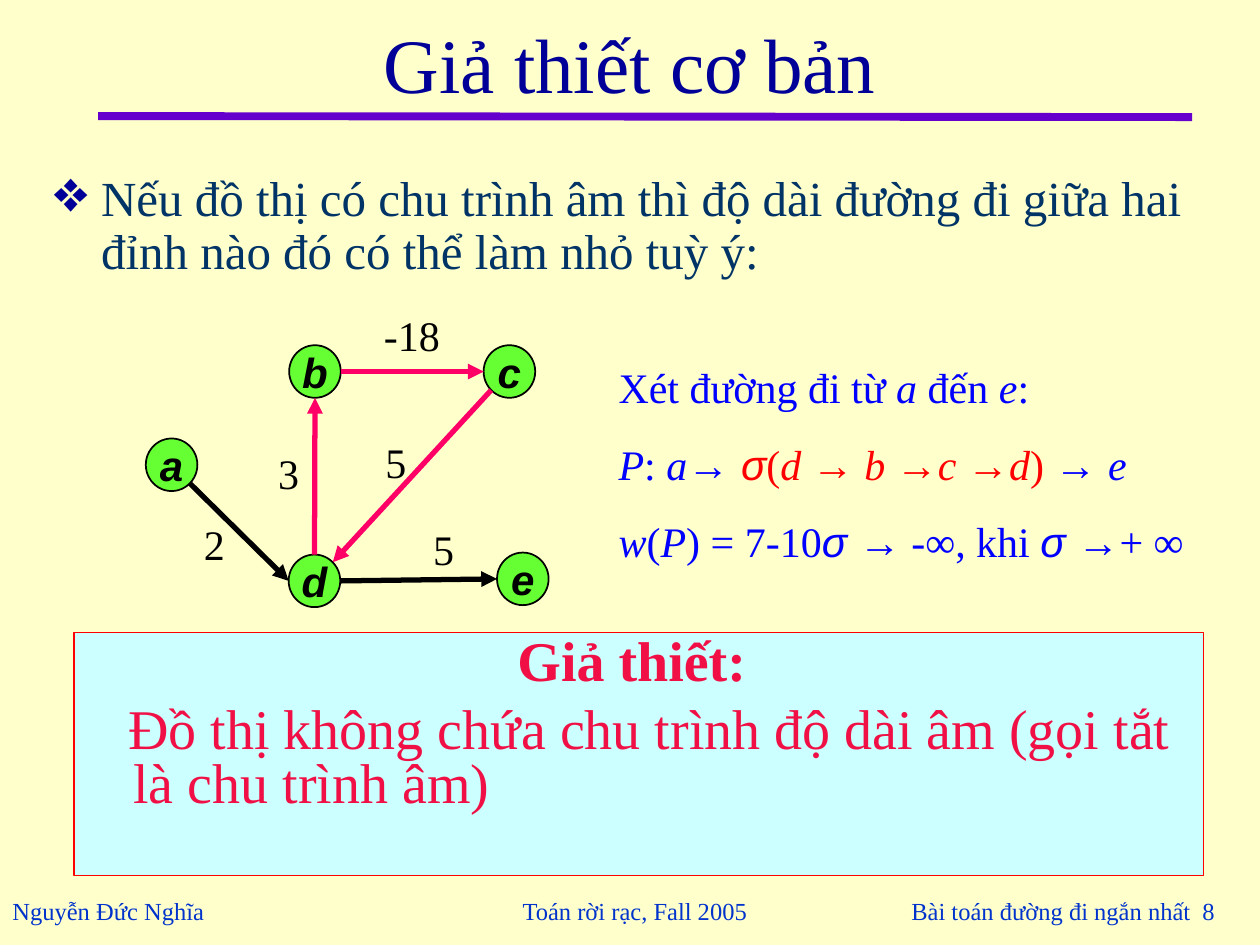
"""Builds a slide on shortest paths and the no-negative-cycle assumption."""
from lxml import etree
from pptx import Presentation
from pptx import util as u
from pptx.dml.color import RGBColor
from pptx.enum import shapes, text
from pptx.oxml import ns

CREAM = RGBColor(0xFF, 0xFF, 0xCC)
CYAN = RGBColor(0xCC, 0xFF, 0xFF)
GREEN = RGBColor(0x66, 0xFF, 0x33)
BLACK = RGBColor(0, 0, 0)
PINK = RGBColor(0xFF, 0, 0x66)
RED = RGBColor(0xFF, 0, 0)
CRIMSON = RGBColor(0xF0, 0x10, 0x45)
PURPLE = RGBColor(0x66, 0, 0xCC)
NAVY = RGBColor(0, 0, 0x99)
TEAL = RGBColor(0, 0x33, 0x66)
BLUE = RGBColor(0, 0, 0xFF)
FOOTER_BLUE = RGBColor(0, 0x33, 0xCC)

SERIF, SANS = "Times New Roman", "Arial"
ITALIC = {"italic": True}
SYMBOL = {"font": SANS}
SLANTED_SYMBOL = {"font": SANS, "italic": True}
CYCLE = {"color": RED}
CYCLE_NODE = {"color": RED, "italic": True}
CYCLE_ARROW = {"color": RED, "font": SANS}
HANGING = 0.95

RADIUS_X, RADIUS_Y, DIAGONAL = 0.52, 0.53, 0.71
COMPASS = {
    "N": (0, -1), "S": (0, 1), "E": (1, 0), "W": (-1, 0),
    "NE": (DIAGONAL, -DIAGONAL),
    "SE": (DIAGONAL, DIAGONAL),
    "SW": (-DIAGONAL, DIAGONAL),
}
NODES = {"a": (3.46, 9.37), "b": (6.35, 7.49), "c": (10.27, 7.49),
         "d": (6.34, 11.71), "e": (10.54, 11.67)}
EDGES = [("a", "SE", "d", "W", BLACK), ("d", "N", "b", "S", PINK),
         ("b", "E", "c", "W", PINK), ("c", "SW", "d", "NE", PINK),
         ("d", "E", "e", "W", BLACK)]
WEIGHTS = [("-18", 7.49, 6.12, 1.68), ("2", 3.86, 10.32, 0.84),
           ("3", 5.36, 8.89, 0.84), ("5", 7.52, 8.67, 0.94),
           ("5", 8.48, 10.43, 0.84)]
FOOTERS = [("Nguyễn Đức Nghĩa", 0, 6, "LEFT"),
           ("Toán rời rạc, Fall 2005", 9.8, 6, "CENTER"),
           ("Bài toán đường đi ngắn nhất  8", 16.75, 8, "RIGHT")]
PATH_LINES = [
    [("Xét đường đi từ ", {}), ("a", ITALIC), (" đến ", {}), ("e", ITALIC), (":", {})],
    [("P", ITALIC), (": ", {}), ("a", ITALIC), ("→ ", SYMBOL),
     ("σ", {**CYCLE_ARROW, **ITALIC}), ("(", CYCLE),
     ("d ", CYCLE_NODE), ("→", CYCLE_ARROW), (" b ", CYCLE_NODE),
     ("→", {**CYCLE_ARROW, **ITALIC}), ("c ", CYCLE_NODE),
     ("→", {**CYCLE_ARROW, **ITALIC}), ("d", CYCLE_NODE), (") ", CYCLE),
     ("→ ", SYMBOL), ("e", ITALIC)],
    [("w", ITALIC), ("(", {}), ("P", ITALIC), (") = 7-10", {}),
     ("σ ", SLANTED_SYMBOL), ("→", SYMBOL), (" -∞, khi ", {}),
     ("σ ", SLANTED_SYMBOL), ("→", SYMBOL), ("+ ∞", {})],
]


def add_paragraph(box, spans, size, color, font=SERIF, bold=False, italic=False,
                  align="LEFT", before=0, spacing=1.0, margin=0, indent=0,
                  bullet=None, first=True):
    """Write one paragraph, given as a string or as (text, format) spans."""
    frame = box.text_frame
    para = frame.paragraphs[0] if first else frame.add_paragraph()
    para.alignment = getattr(text.PP_ALIGN, align)
    para.space_before = u.Pt(before)
    para.line_spacing = spacing
    properties = para._p.get_or_add_pPr()
    properties.set("marL", str(u.Cm(margin)))
    properties.set("indent", str(u.Cm(indent)))
    if bullet:
        holder = etree.SubElement(properties, ns.qn("a:buClr"))
        etree.SubElement(holder, ns.qn("a:srgbClr"), val=str(NAVY))
        etree.SubElement(properties, ns.qn("a:buSzPct"), val="120000")
        etree.SubElement(properties, ns.qn("a:buChar"), char=bullet)
    for words, style in [(spans, {})] if isinstance(spans, str) else spans:
        span = para.add_run()
        span.text = words
        span.font.size = u.Pt(size)
        span.font.name = style.get("font", font)
        span.font.color.rgb = style.get("color", color)
        span.font.bold = bold
        span.font.italic = style.get("italic", italic)


def add_box(page, left, top, width, height, anchor="TOP"):
    """Add an empty wrapping text box."""
    box = page.shapes.add_textbox(u.Cm(left), u.Cm(top), u.Cm(width), u.Cm(height))
    box.text_frame.word_wrap = True
    box.text_frame.vertical_anchor = getattr(text.MSO_ANCHOR, anchor)
    return box


def add_filled(page, kind, left, top, width, height, fill, line, weight):
    """Add a filled, outlined preset shape without a shadow."""
    shape = page.shapes.add_shape(kind, u.Cm(left), u.Cm(top), u.Cm(width), u.Cm(height))
    shape.shadow.inherit = False
    shape.fill.solid()
    shape.fill.fore_color.rgb = fill
    shape.line.color.rgb = line
    shape.line.width = u.Pt(weight)
    return shape


def add_line(page, start, end, color, weight, arrow=False):
    """Add a straight line, with an arrowhead at its end if asked."""
    line = page.shapes.add_connector(shapes.MSO_CONNECTOR.STRAIGHT,
                                     *(u.Cm(value) for value in (*start, *end)))
    line.line.color.rgb = color
    line.line.width = u.Pt(weight)
    if arrow:
        etree.SubElement(line.line._get_or_add_ln(), ns.qn("a:tailEnd"), type="triangle")
    etree.SubElement(line._element.spPr, ns.qn("a:effectLst"))


def add_node(page, name):
    """Add a labelled graph vertex."""
    x, y = NODES[name]
    node = add_filled(page, shapes.MSO_SHAPE.OVAL, x - RADIUS_X, y - RADIUS_Y,
                      2 * RADIUS_X, 2 * RADIUS_Y, GREEN, BLACK, 1)
    node.text_frame.word_wrap = False
    node.text_frame.vertical_anchor = text.MSO_ANCHOR.MIDDLE
    add_paragraph(node, name, 24, BLACK, font=SANS, bold=True, italic=True, align="CENTER")


def rim_point(name, side):
    """Return the point on a vertex's rim in a compass direction."""
    (x, y), (across, down) = NODES[name], COMPASS[side]
    return x + across * RADIUS_X, y + down * RADIUS_Y


def add_graph(page):
    """Draw the weighted graph with its negative cycle."""
    for name in NODES:
        add_node(page, name)
    for source, leaving, target, entering, color in EDGES:
        add_line(page, rim_point(source, leaving), rim_point(target, entering),
                 color, 3, arrow=True)
    for weight, left, top, width in WEIGHTS:
        add_paragraph(add_box(page, left, top, width, 1.27), weight, 24, BLACK, before=15)


def add_assumption(page):
    """Add the framed statement of the assumption."""
    frame = add_filled(page, shapes.MSO_SHAPE.RECTANGLE, 1.49, 12.75, 22.78, 4.9,
                       CYAN, RED, 0.75)
    frame.text_frame.vertical_anchor = text.MSO_ANCHOR.TOP
    common = {"size": 32, "color": CRIMSON, "before": 8, "spacing": 0.8, "margin": HANGING}
    add_paragraph(frame, "Giả thiết: ", bold=True, align="CENTER", indent=-HANGING, **common)
    add_paragraph(frame, "Đồ thị không chứa chu trình độ dài âm (gọi tắt là chu trình âm)",
                  indent=-0.1, first=False, **common)


def main():
    """Build and save the slide."""
    deck = Presentation()
    deck.slide_width, deck.slide_height = u.Cm(25.4), u.Cm(19.05)
    page = deck.slides.add_slide(deck.slide_layouts[6])
    page.background.fill.solid()
    page.background.fill.fore_color.rgb = CREAM

    for words, left, width, align in FOOTERS:
        add_paragraph(add_box(page, left, 17.93, width, 0.86, anchor="MIDDLE"),
                      words, 14, FOOTER_BLUE, align=align)
    add_paragraph(add_box(page, 0, 0, 25.4, 2.54, anchor="MIDDLE"),
                  "Giả thiết cơ bản", 44, NAVY, align="CENTER")
    add_paragraph(add_box(page, 0.84, 3.38, 23.5, 2.41),
                  "Nếu đồ thị có chu trình âm thì độ dài đường đi giữa hai "
                  "đỉnh nào đó có thể làm nhỏ tuỳ ý:", 28, TEAL, before=7, spacing=0.9,
                  margin=HANGING, indent=-HANGING, bullet="❖")
    add_graph(page)
    add_assumption(page)
    path_box = add_box(page, 12.22, 7.17, 12.6, 4.37)
    for number, spans in enumerate(PATH_LINES):
        add_paragraph(path_box, spans, 24, BLUE, before=15, first=number == 0)
    add_line(page, (1.98, 2.34), (24.03, 2.36), PURPLE, 4.5)
    deck.save("out.pptx")


if __name__ == "__main__":
    main()
